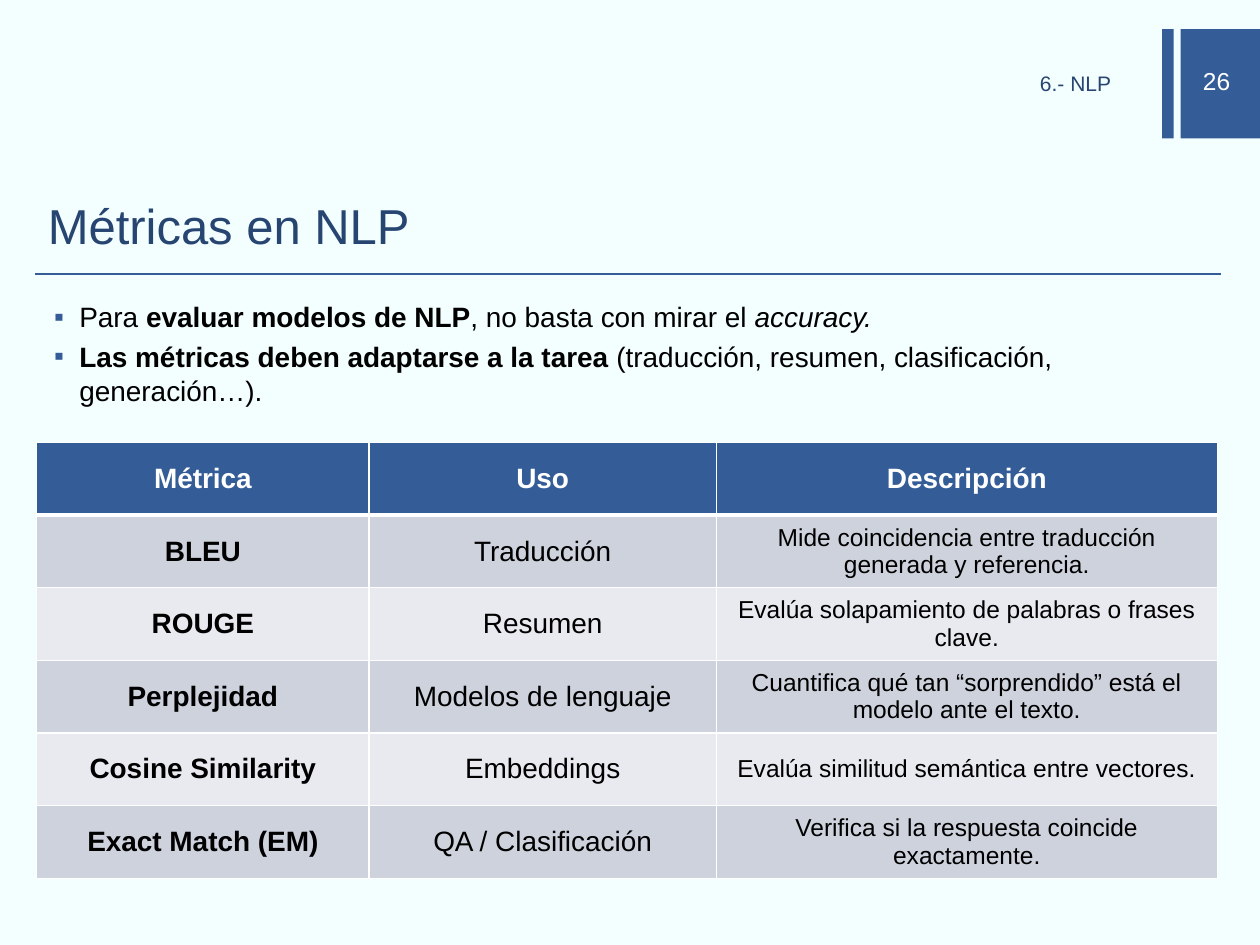
from lxml.etree import SubElement
from pptx import Presentation
from pptx.dml.color import RGBColor
from pptx.enum.shapes import MSO_CONNECTOR, MSO_SHAPE
from pptx.enum.text import MSO_ANCHOR as Anchor, MSO_AUTO_SIZE as AutoSize, PP_ALIGN as Align
from pptx.oxml.ns import qn
from pptx.util import Cm, Pt

BLUE, NAVY, WHITE, BLACK = "345C97", "274571", "FFFFFF", "000000"
BANDS = ["E8EAEF", "CED2DD"]


def color(value):
    return RGBColor.from_string(value)


def style(paragraph, size, hex_color, align=Align.LEFT, bold=False):
    paragraph.alignment = align
    for run in paragraph.runs:
        run.font.name = "Arial"
        run.font.size = Pt(size)
        run.font.bold = bold
        run.font.color.rgb = color(hex_color)


prs = Presentation()
prs.slide_width, prs.slide_height = Cm(25.4), Cm(19.05)
slide = prs.slides.add_slide(prs.slide_layouts[5])
slide.background.fill.solid()
slide.background.fill.fore_color.rgb = color("F3FEFE")
shapes = slide.shapes

for left, width in [(23.43, 0.23), (23.8, 1.6)]:
    bar = shapes.add_shape(MSO_SHAPE.RECTANGLE, Cm(left), Cm(0.59), Cm(width), Cm(2.2))
    bar.shadow.inherit = False
    bar.fill.solid()
    bar.fill.fore_color.rgb = color(BLUE)
    bar.line.fill.background()

page_number = shapes.add_textbox(Cm(23.7), Cm(1.12), Cm(1.65), Cm(1.02)).text_frame
page_number.text = "26"
page_number.word_wrap = True
page_number.vertical_anchor = Anchor.MIDDLE
style(page_number.paragraphs[0], 14, WHITE, Align.CENTER)

section = shapes.add_textbox(Cm(12.65), Cm(1.32), Cm(10), Cm(0.84)).text_frame
section.text = "6.- NLP"
section.word_wrap = True
section.vertical_anchor = Anchor.MIDDLE
section.margin_top, section.margin_bottom = Cm(0), Cm(0.13)
style(section.paragraphs[0], 12, NAVY, Align.RIGHT)

title = shapes.title
title.left, title.top, title.width, title.height = Cm(0.71), Cm(3.53), Cm(23.9), Cm(2)
title.text_frame.text = "Métricas en NLP"
title.text_frame.auto_size = AutoSize.NONE
title.text_frame.vertical_anchor = Anchor.MIDDLE
style(title.text_frame.paragraphs[0], 28, NAVY)

rule = shapes.add_connector(MSO_CONNECTOR.STRAIGHT, Cm(0.71), Cm(5.53), Cm(24.61), Cm(5.53))
rule.line.color.rgb = color(BLUE)
rule.line.width = Pt(1)
SubElement(rule._element.spPr, qn("a:effectLst"))

points = [
    [("Para ", ""), ("evaluar modelos de NLP", "b"), (", no basta con mirar el ", ""), ("accuracy.", "i")],
    [("Las métricas deben adaptarse a la tarea", "b"),
     (" (traducción, resumen, clasificación, generación…).", "")],
]
body = shapes.add_textbox(Cm(0.71), Cm(5.92), Cm(23.9), Cm(12.6)).text_frame
body.word_wrap = True
for index, pieces in enumerate(points):
    point = body.add_paragraph() if index else body.paragraphs[0]
    if index:
        point.space_before = Pt(3.5)
    props = point._p.get_or_add_pPr()
    props.set("marL", str(Cm(0.64)))
    props.set("indent", str(Cm(-0.51)))
    SubElement(SubElement(props, qn("a:buClr")), qn("a:srgbClr"), val=BLUE)
    SubElement(props, qn("a:buFont"), typeface="Arial")
    SubElement(props, qn("a:buChar"), char="▪")
    for text, _ in pieces:
        point.add_run().text = text
    style(point, 16, BLACK)
    for run, (_, emphasis) in zip(point.runs, pieces):
        run.font.bold = emphasis == "b"
        run.font.italic = emphasis == "i"

metrics = [
    ("Métrica", "Uso", "Descripción"),
    ("BLEU", "Traducción", "Mide coincidencia entre traducción generada y referencia."),
    ("ROUGE", "Resumen", "Evalúa solapamiento de palabras o frases clave."),
    ("Perplejidad", "Modelos de lenguaje", "Cuantifica qué tan “sorprendido” está el modelo ante el texto."),
    ("Cosine Similarity", "Embeddings", "Evalúa similitud semántica entre vectores."),
    ("Exact Match (EM)", "QA / Clasificación", "Verifica si la respuesta coincide exactamente."),
]
column_widths = [6.7, 7, 10.1]
table = shapes.add_table(len(metrics), len(column_widths), Cm(0.74), Cm(8.92),
                         Cm(sum(column_widths)), Cm(8.79)).table
for column, width in zip(table.columns, column_widths):
    column.width = Cm(width)
for r, texts in enumerate(metrics):
    for c, text in enumerate(texts):
        header = r == 0
        cell = table.cell(r, c)
        cell.text_frame.text = text
        cell.vertical_anchor = Anchor.MIDDLE
        style(cell.text_frame.paragraphs[0], 14 if c == 2 and not header else 16,
              WHITE if header else BLACK, Align.CENTER, header or c == 0)
        for side in ["lnL", "lnR", "lnT", "lnB"]:
            thick = (r, side) in [(0, "lnB"), (1, "lnT")]
            border = SubElement(cell._tc.get_or_add_tcPr(), qn(f"a:{side}"), w=str(Pt(3 if thick else 1)))
            SubElement(SubElement(border, qn("a:solidFill")), qn("a:srgbClr"), val=WHITE)
        cell.fill.solid()
        cell.fill.fore_color.rgb = color(BLUE if header else BANDS[r % 2])

prs.save("out.pptx")
